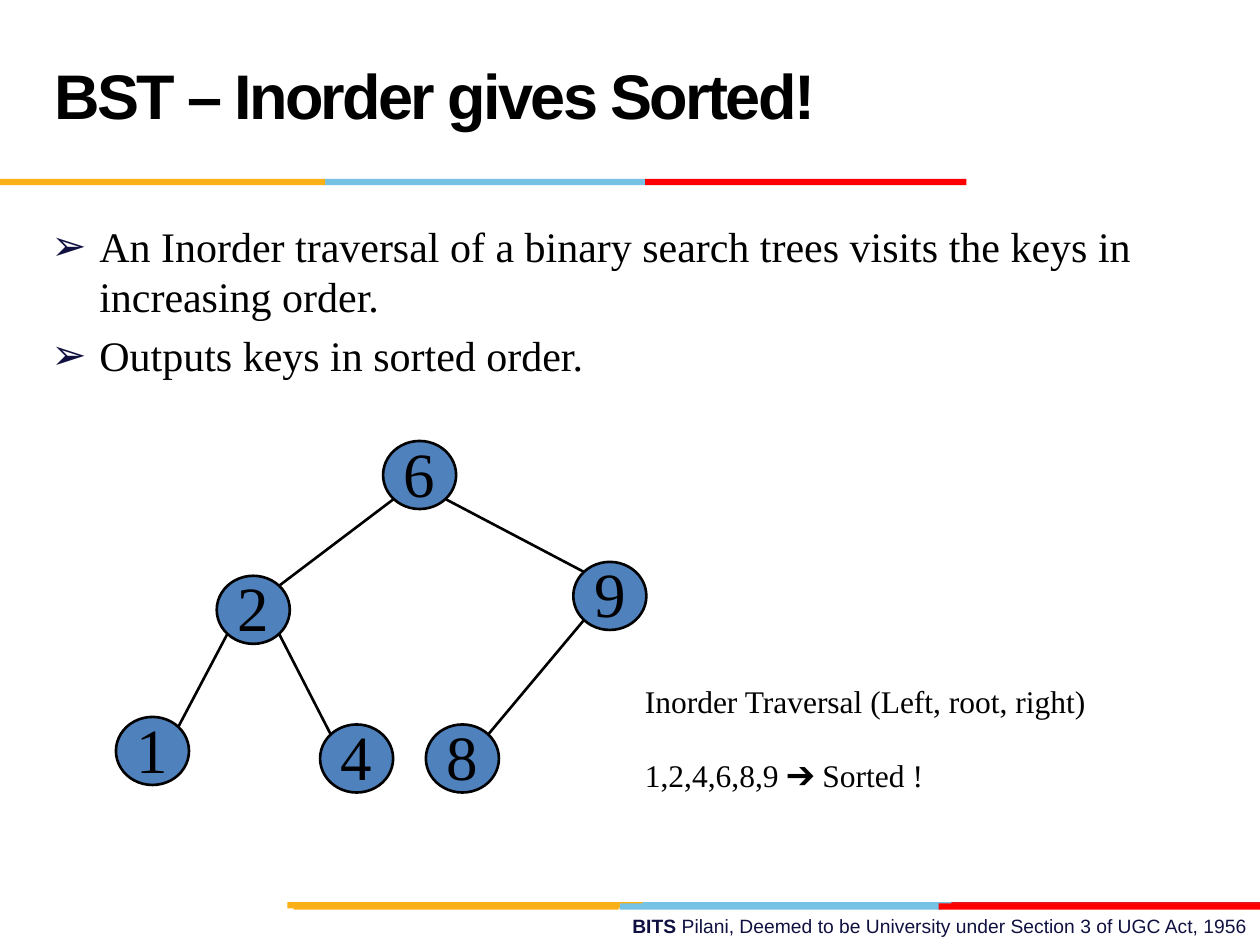
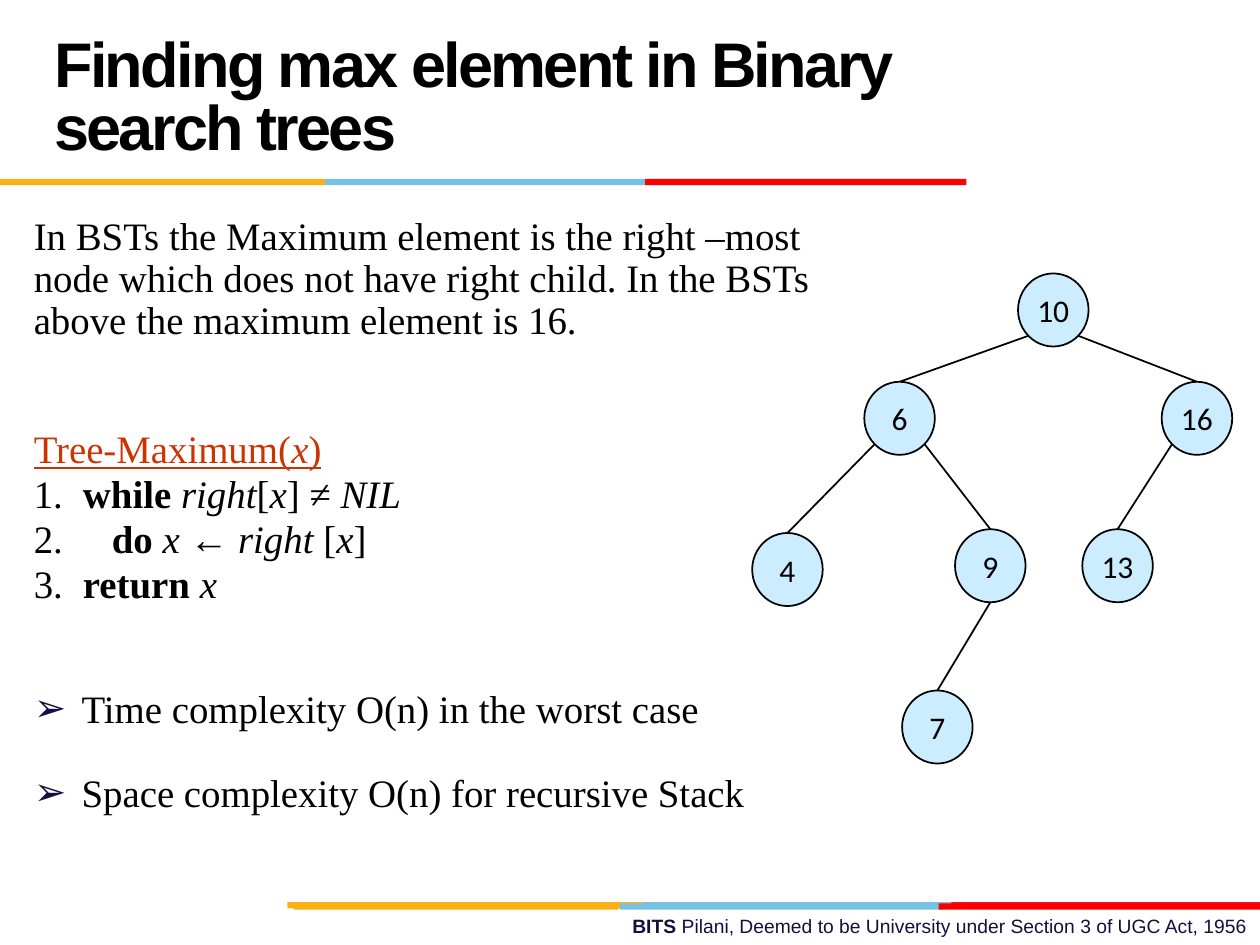
import math
from dataclasses import dataclass

import pptx
import pptx.dml.color
import pptx.enum.shapes
import pptx.enum.text
import pptx.oxml.ns
import pptx.util
from lxml import etree
from pptx.util import Inches, Pt

ALIGN = pptx.enum.text.PP_ALIGN
ANCHOR = pptx.enum.text.MSO_ANCHOR
FIT = pptx.enum.text.MSO_AUTO_SIZE
SHAPE = pptx.enum.shapes.MSO_SHAPE


@dataclass(frozen=True)
class Theme:
    black: str = "000000"
    navy: str = "101141"
    gold: str = "FCB017"
    sky: str = "76C2E5"
    crimson: str = "E31C24"
    red: str = "FF0000"
    heading: str = "CC3300"
    sans: str = "Arial"
    serif: str = "Times New Roman"
    title_size: float = 36
    body_size: float = 24
    algorithm_size: float = 22.2
    note_size: float = 18
    footer_size: float = 11


THEME = Theme()

# Shared parts: left, top, width, colour of each band (0.05 high)
BANDS = [
    (5.06, 7.16, 2.55, THEME.sky), (7.55, 7.16, 2.45, THEME.crimson),
    (2.28, 7.16, 2.82, THEME.gold), (4.92, 7.17, 2.55, THEME.sky),
    (2.33, 7.17, 2.58, THEME.gold), (7.45, 7.17, 2.55, THEME.red),
    (2.58, 1.42, 2.55, THEME.sky), (0, 1.42, 2.58, THEME.gold),
    (5.12, 1.42, 2.55, THEME.red),
]
BAND_HEIGHT = 0.05
FOOTER = [("BITS ", "b"),
          ("Pilani, Deemed to be University under Section 3 of UGC Act, 1956", "")]
HANG = 0.38

# Slide content: paragraphs hold runs of (text, style), style letters b, i, u
INORDER = {
    "title": "BST – Inorder gives Sorted!",
    "body": {
        "box": (0.31, 1.7, 9, 4.95), "size": THEME.body_size,
        "paragraphs": [
            {"runs": [("An Inorder traversal of a binary search trees visits "
                       "the keys in increasing order.", "")],
             "bullet": True, "hang": HANG},
            {"runs": [("Outputs keys in sorted order.", "")],
             "bullet": True, "hang": HANG, "before": 4.8},
        ],
    },
    "note": {
        "box": (5.02, 5.36, 3.74, 1.01), "size": THEME.note_size, "wrap": False,
        "paragraphs": [
            {"runs": [("Inorder Traversal (Left, root, right)", "")]},
            {"runs": [("1,2,4,6,8,9 ➔ Sorted !", "")], "before": 21},
        ],
    },
    "tree": {
        "node_size": (0.58, 0.54), "fill": "4F81BD", "line_width": 1.5,
        "font": THEME.serif, "text_size": 36, "insets": (0, 0, 0, 0.05),
        "nodes": {"6": (3.04, 3.5), "9": (4.55, 4.46), "2": (1.72, 4.57),
                  "4": (2.54, 5.75), "1": (0.92, 5.69), "8": (3.38, 5.75)},
        "edges": [("6", "2"), ("6", "9"), ("9", "8"), ("2", "1"), ("2", "4")],
        "edges_end_on_top": False, "from_bottom": [],
    },
}

MAXIMUM = {
    "title": "Finding max element in Binary search trees",
    "body": {
        "box": (0.17, 1.67, 6.36, 4.95), "size": THEME.algorithm_size,
        "paragraphs": [
            {"runs": [("In BSTs the Maximum element is the right –most node which "
                       "does not have right child. In the BSTs above the maximum "
                       "element is 16.", "")], "lines": 0.9},
            {"runs": [("Tree-Maximum(", "u"), ("x", "iu"), (")", "u")],
             "color": THEME.heading, "lines": 0.8, "before": 52},
            {"runs": [("1.\t", ""), ("while ", "b"), ("right", "i"), ("[", ""),
                      ("x", "i"), ("] ≠", ""), (" NIL", "i")],
             "hang": 0.39, "lines": 0.8, "before": 4.4},
            {"runs": [("2.\t", ""), ("do ", "b"), ("x ← right ", "i"), ("[", ""),
                      ("x", "i"), ("]", "")],
             "hang": 0.62, "lines": 0.8, "before": 4.4},
            {"runs": [("3.\t", ""), ("return ", "b"), ("x", "i")],
             "hang": 0.39, "lines": 0.8, "before": 4.4},
            {"runs": [("Time complexity O(n) in the worst case", "")],
             "bullet": True, "hang": HANG, "lines": 0.9, "before": 48},
            {"runs": [("Space complexity O(n) for recursive Stack", "")],
             "bullet": True, "hang": HANG, "lines": 0.9, "before": 24},
        ],
    },
    "tree": {
        "node_size": (0.56, 0.58), "fill": "CCECFF", "line_width": 1,
        "font": "Calibri", "text_size": 18, "insets": (0.1, 0.05, 0.1, 0.05),
        "nodes": {"10": (8.08, 2.17), "6": (6.86, 3.03), "16": (9.22, 3.03),
                  "4": (5.97, 4.23), "9": (7.58, 4.2), "13": (8.59, 4.2),
                  "7": (7.16, 5.48)},
        "edges": [("10", "6"), ("10", "16"), ("6", "4"), ("6", "9"),
                  ("16", "13"), ("9", "7")],
        "edges_end_on_top": True, "from_bottom": [("9", "7")],
    },
}


# Text helpers
def rgb(color):
    return pptx.dml.color.RGBColor.from_string(color)


def add_runs(paragraph, runs, font, size, color):
    for text, style in runs:
        run = paragraph.add_run()
        run.text = text
        run.font.name = font
        run.font.size = Pt(size)
        run.font.color.rgb = rgb(color)
        run.font.bold = "b" in style
        run.font.italic = "i" in style
        run.font.underline = "u" in style


def format_paragraph(paragraph, hang, bullet):
    properties = paragraph._p.get_or_add_pPr()
    properties.set("marL", str(Inches(hang)))
    properties.set("indent", str(-Inches(hang)))
    if bullet:
        tag = pptx.oxml.ns.qn
        color = etree.SubElement(properties, tag("a:buClr"))
        etree.SubElement(color, tag("a:srgbClr"), val=THEME.navy)
        etree.SubElement(properties, tag("a:buFont"), typeface=THEME.sans)
        etree.SubElement(properties, tag("a:buChar"), char="➢")


def add_text(slide, box, size, paragraphs, wrap=True):
    shape = slide.shapes.add_textbox(*map(Inches, box))
    frame = shape.text_frame
    frame.word_wrap = wrap
    for index, item in enumerate(paragraphs):
        paragraph = frame.add_paragraph() if index else frame.paragraphs[0]
        format_paragraph(paragraph, item.get("hang", 0), item.get("bullet", False))
        paragraph.space_before = Pt(item.get("before", 0))
        paragraph.line_spacing = item.get("lines", 1.0)
        add_runs(paragraph, item["runs"], THEME.serif, size,
                 item.get("color", THEME.black))


# Shared slide frame: bands, footer, title
def add_frame(slide, title):
    for left, top, width, color in BANDS:
        band = slide.shapes.add_shape(
            SHAPE.RECTANGLE, *map(Inches, (left, top, width, BAND_HEIGHT)))
        band.shadow.inherit = False
        band.fill.solid()
        band.fill.fore_color.rgb = rgb(color)
        band.line.fill.background()

    footer = slide.shapes.add_textbox(*map(Inches, (3.58, 7.21, 6.42, 0.29)))
    footer.text_frame.word_wrap = True
    paragraph = footer.text_frame.paragraphs[0]
    paragraph.alignment = ALIGN.RIGHT
    add_runs(paragraph, FOOTER, THEME.sans, THEME.footer_size, THEME.navy)

    shape = slide.shapes.title
    shape.left, shape.top, shape.width, shape.height = map(
        Inches, (0.33, 0.17, 6.92, 1.25))
    frame = shape.text_frame
    frame.word_wrap = True
    frame.auto_size = FIT.NONE
    frame.vertical_anchor = ANCHOR.MIDDLE
    paragraph = frame.paragraphs[0]
    paragraph.alignment = ALIGN.LEFT
    paragraph.line_spacing = Pt(THEME.title_size)
    add_runs(paragraph, [(title, "b")], THEME.sans, THEME.title_size, THEME.black)
    paragraph.runs[0].font._rPr.set("spc", "-150")


# Trees
def rim_point(corner, size, side, down):
    """Point on a node's rim: side -1, 0, 1 is left, middle, right."""
    reach = math.sqrt(0.5) if side else 1
    return (Inches(corner[0] + size[0] / 2 * (1 + side * reach)),
            Inches(corner[1] + size[1] / 2 * (1 + down * reach)))


def add_edge(slide, tree, edge):
    parent, child = (tree["nodes"][label] for label in edge)
    side = 1 if child[0] > parent[0] else -1
    start_side = 0 if edge in tree["from_bottom"] else side
    end_side = 0 if tree["edges_end_on_top"] else -side
    line = slide.shapes.add_connector(
        pptx.enum.shapes.MSO_CONNECTOR.STRAIGHT,
        *rim_point(parent, tree["node_size"], start_side, 1),
        *rim_point(child, tree["node_size"], end_side, -1))
    line.line.color.rgb = rgb(THEME.black)
    line.line.width = Pt(tree["line_width"])
    etree.SubElement(line._element.spPr, pptx.oxml.ns.qn("a:effectLst"))


def add_node(slide, tree, label, corner):
    node = slide.shapes.add_shape(
        SHAPE.OVAL, *map(Inches, corner + tree["node_size"]))
    node.shadow.inherit = False
    node.fill.solid()
    node.fill.fore_color.rgb = rgb(tree["fill"])
    node.line.color.rgb = rgb(THEME.black)
    node.line.width = Pt(tree["line_width"])
    frame = node.text_frame
    frame.word_wrap = False
    frame.vertical_anchor = ANCHOR.MIDDLE
    (frame.margin_left, frame.margin_top, frame.margin_right,
     frame.margin_bottom) = map(Inches, tree["insets"])
    paragraph = frame.paragraphs[0]
    paragraph.alignment = ALIGN.CENTER
    add_runs(paragraph, [(label, "")], tree["font"], tree["text_size"], THEME.black)


def main():
    presentation = pptx.Presentation()
    presentation.slide_width, presentation.slide_height = Inches(10), Inches(7.5)
    title_only = presentation.slide_layouts[5]
    for content in (INORDER, MAXIMUM):
        slide = presentation.slides.add_slide(title_only)
        add_frame(slide, content["title"])
        add_text(slide, **content["body"])
        tree = content["tree"]
        for edge in tree["edges"]:
            add_edge(slide, tree, edge)
        for label, corner in tree["nodes"].items():
            add_node(slide, tree, label, corner)
        if "note" in content:
            add_text(slide, **content["note"])
    presentation.save("out.pptx")


if __name__ == "__main__":
    main()
